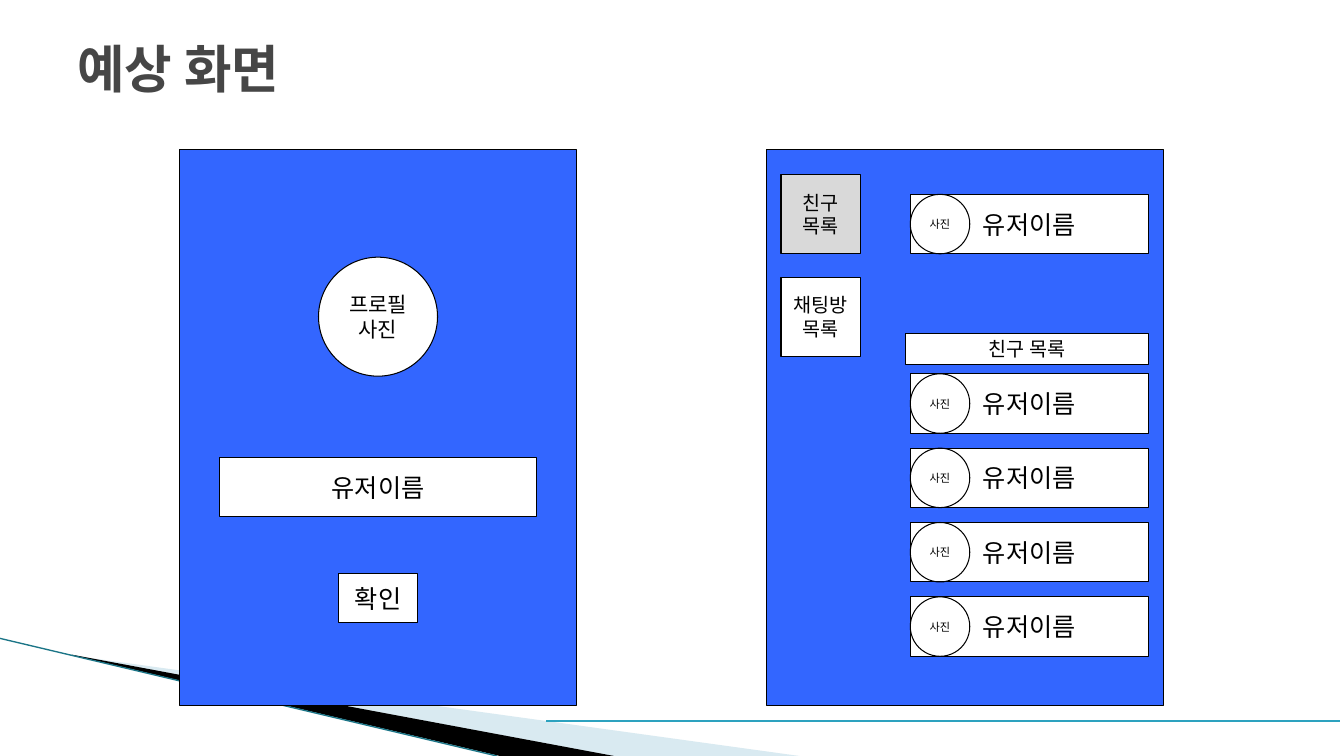
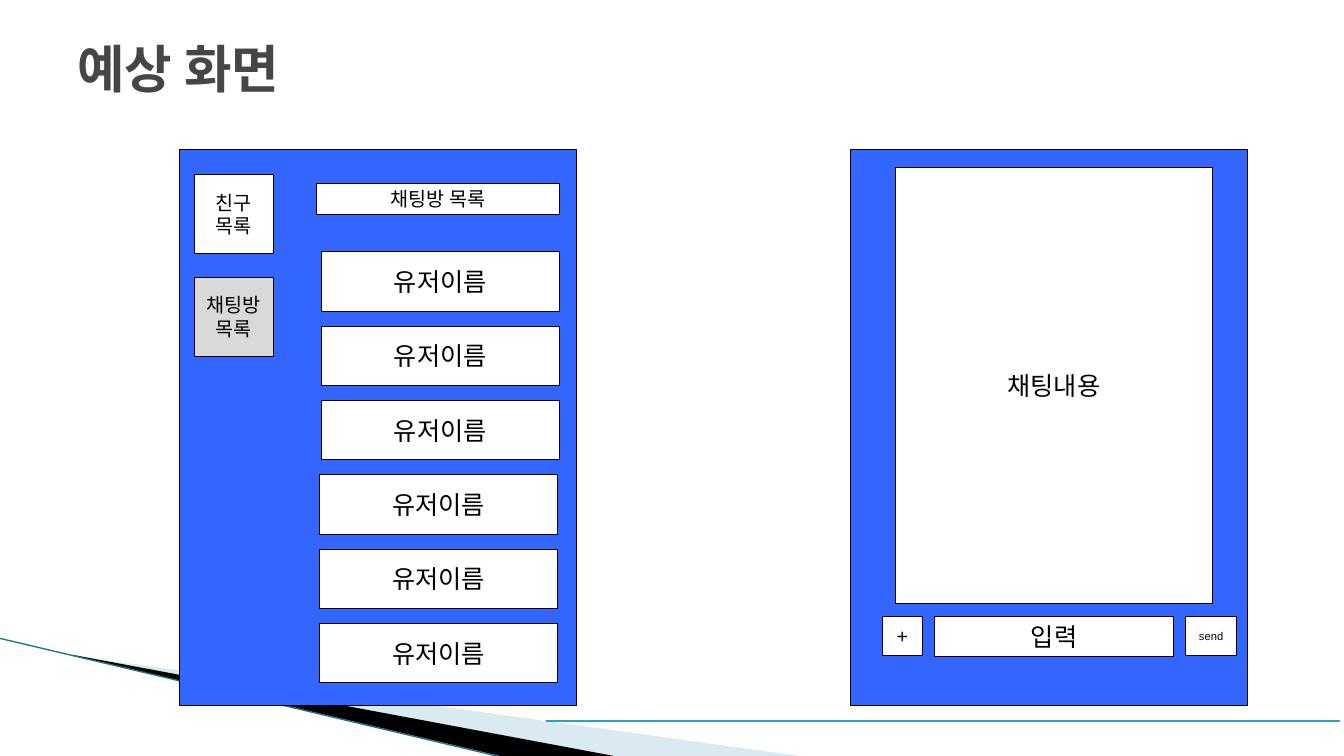
from dataclasses import dataclass

from lxml import etree
from pptx import Presentation
from pptx.dml.color import RGBColor
from pptx.enum.shapes import MSO_CONNECTOR, MSO_SHAPE
from pptx.enum.text import MSO_ANCHOR, PP_ALIGN
from pptx.oxml.ns import qn
from pptx.slide import Slide, SlideLayout
from pptx.util import Pt

RECTANGLE = MSO_SHAPE.RECTANGLE
ELLIPSE = MSO_SHAPE.OVAL
STRAIGHT = MSO_CONNECTOR.STRAIGHT
CENTER = PP_ALIGN.CENTER
LEFT = PP_ALIGN.LEFT
MIDDLE = MSO_ANCHOR.MIDDLE


@dataclass(frozen=True)
class Theme:
    font: str = "Arial"
    title: str = "464646"
    ink: str = "000000"
    paper: str = "FFFFFF"
    panel: str = "3366FF"
    selected: str = "D9D9D9"
    pale_band: str = "A0CBDC"
    slope_line: str = "1B7587"
    footer_line: str = "2DA2BF"
    title_size: float = 36.9
    name_size: float = 18
    profile_size: float = 15
    label_size: float = 14
    small_size: float = 8
    outline: float = 0.75


@dataclass(frozen=True)
class Box:
    left: float
    top: float
    width: float
    height: float

    def lengths(self) -> tuple[Pt, Pt, Pt, Pt]:
        return Pt(self.left), Pt(self.top), Pt(self.width), Pt(self.height)


@dataclass(frozen=True)
class Band:
    points: tuple[tuple[float, float], ...]
    color: str
    opacity: int


@dataclass(frozen=True)
class Rule:
    start: tuple[float, float]
    end: tuple[float, float]
    color: str
    width: float


THEME = Theme()
TITLE_BOX = Box(48, 21.6, 864, 53.3)
BANDS = (
    Band(((52.6, 468.4), (571, 540), (437.8, 540), (52.6, 468)), THEME.pale_band, 40),
    Band(((51.1, 467.6), (438.5, 540), (357, 540), (51.8, 468)), THEME.ink, 100),
)
RULES = (
    Rule((0, 456), (355, 540), THEME.slope_line, 0.95),
    Rule((390.2, 514.8), (957, 514.8), THEME.footer_line, 1.5),
)
PANEL_TOP, PANEL_WIDTH, PANEL_HEIGHT = 107, 283.5, 396.8
FIRST_PANEL_LEFT = 128.2
TAB_INSET, TAB_TOP, TAB_SIZE, TAB_PITCH = 10.6, 124.6, 56.7, 73.4
TABS = ("친구\n목록", "채팅방목록")
ROW_WIDTH, ROW_HEIGHT, ROW_PITCH = 170.1, 42.5, 53.1
HEADER_WIDTH, HEADER_HEIGHT = 173.5, 22.3
USER_NAME = "유저이름"


def color(value: str) -> RGBColor:
    return RGBColor.from_string(value)


def write_text(frame, text: str, *, size: float, ink: str = THEME.ink,
               bold: bool = False, align=CENTER) -> None:
    frame.vertical_anchor = MIDDLE
    frame.text = text
    for para in frame.paragraphs:
        para.alignment = align
        para.font.name = THEME.font
        para.font.size = Pt(size)
        para.font.bold = bold
        para.font.color.rgb = color(ink)


def add_block(shapes, box: Box, text: str = "", *, kind=RECTANGLE,
              size: float = THEME.name_size, fill: str | None = THEME.paper) -> None:
    block = shapes.add_shape(kind, *box.lengths())
    block.shadow.inherit = False
    if fill is None:
        block.fill.background()
    else:
        block.fill.solid()
        block.fill.fore_color.rgb = color(fill)
    block.line.color.rgb = color(THEME.ink)
    block.line.width = Pt(THEME.outline)
    if text:
        block.text_frame.word_wrap = kind == RECTANGLE
        write_text(block.text_frame, text, size=size)


def add_band(page: Slide, band: Band):
    corners = [(Pt(x), Pt(y)) for x, y in band.points]
    builder = page.shapes.build_freeform(*corners[0], scale=1.0)
    builder.add_line_segments(corners[1:], close=True)
    shape = builder.convert_to_shape()
    shape.shadow.inherit = False
    shape.line.fill.background()
    shape.fill.solid()
    shape.fill.fore_color.rgb = color(band.color)
    if band.opacity < 100:
        tint = shape.element.spPr.find(qn("a:solidFill"))[0]
        etree.SubElement(tint, qn("a:alpha"), val=str(band.opacity * 1000))
    return shape


def add_rule(page: Slide, rule: Rule):
    ends = (Pt(value) for value in rule.start + rule.end)
    connector = page.shapes.add_connector(STRAIGHT, *ends)
    connector.line.color.rgb = color(rule.color)
    connector.line.width = Pt(rule.width)
    etree.SubElement(connector.element.spPr, qn("a:effectLst"))
    return connector


def decorate_layout(layout: SlideLayout, page: Slide) -> None:
    """Draw the shared decoration on a page and move it to the layout."""
    decoration = [add_band(page, band) for band in BANDS]
    decoration += [add_rule(page, rule) for rule in RULES]
    for shape in decoration:
        layout.shapes.element.append(shape.element)


def add_title(page: Slide, text: str) -> None:
    title = page.shapes.title
    title.left, title.top, title.width, title.height = TITLE_BOX.lengths()
    write_text(title.text_frame, text, size=THEME.title_size,
               ink=THEME.title, bold=True, align=LEFT)


def add_panel(page: Slide, left: float) -> None:
    add_block(page.shapes, Box(left, PANEL_TOP, PANEL_WIDTH, PANEL_HEIGHT),
              fill=THEME.panel)


def add_tabs(page: Slide, panel_left: float, selected: int) -> None:
    for index, label in enumerate(TABS):
        top = TAB_TOP + index * TAB_PITCH
        add_block(page.shapes, Box(panel_left + TAB_INSET, top, TAB_SIZE, TAB_SIZE),
                  label, size=THEME.label_size,
                  fill=THEME.selected if index == selected else THEME.paper)


def add_header(page: Slide, left: float, top: float, text: str) -> None:
    add_block(page.shapes, Box(left, top, HEADER_WIDTH, HEADER_HEIGHT), text,
              size=THEME.label_size)


def add_friend(page: Slide, left: float, top: float) -> None:
    shapes = page.shapes.add_group_shape().shapes
    add_block(shapes, Box(left, top, ROW_WIDTH, ROW_HEIGHT), USER_NAME)
    add_block(shapes, Box(left, top, ROW_HEIGHT, ROW_HEIGHT), "사진",
              kind=ELLIPSE, size=THEME.small_size, fill=None)


def draw_profile_screen(page: Slide) -> None:
    add_panel(page, FIRST_PANEL_LEFT)
    add_block(page.shapes, Box(227.5, 183.7, 85, 85), "프로필\n사진",
              kind=ELLIPSE, size=THEME.profile_size)
    add_block(page.shapes, Box(156.7, 326.8, 226.8, 42.5), USER_NAME)
    add_block(page.shapes, Box(241.7, 409.6, 56.7, 35.2), "확인")


def draw_friend_screen(page: Slide) -> None:
    panel_left, row_left = 547.3, 650.2
    add_panel(page, panel_left)
    add_tabs(page, panel_left, selected=0)
    add_friend(page, row_left, 138.8)
    add_header(page, 646.8, 238.2, "친구 목록")
    for index in range(4):
        add_friend(page, row_left, 267 + index * ROW_PITCH)


def draw_room_screen(page: Slide) -> None:
    add_panel(page, FIRST_PANEL_LEFT)
    add_tabs(page, FIRST_PANEL_LEFT, selected=1)
    add_header(page, 226.2, 131, "채팅방 목록")
    for index in range(6):
        left = 229.5 if index < 3 else 228.1
        top = 179.8 + index * ROW_PITCH
        add_block(page.shapes, Box(left, top, ROW_WIDTH, ROW_HEIGHT), USER_NAME)


def draw_chat_screen(page: Slide) -> None:
    add_panel(page, 607.4)
    add_block(page.shapes, Box(639.4, 119.6, 226.8, 311.8), "채팅내용")
    add_block(page.shapes, Box(667.8, 440.4, ROW_WIDTH, 28.4), "입력")
    add_block(page.shapes, Box(630.4, 440.2, 28.4, 28.4), "+", size=THEME.label_size)
    add_block(page.shapes, Box(846.7, 440.2, 36.9, 28.4), "send", size=THEME.small_size)


def main() -> None:
    deck = Presentation()
    deck.slide_width, deck.slide_height = Pt(960), Pt(540)
    layout = deck.slide_layouts.get_by_name("Title Only")
    screen_pairs = (
        (draw_profile_screen, draw_friend_screen),
        (draw_room_screen, draw_chat_screen),
    )
    pages = [deck.slides.add_slide(layout) for _ in screen_pairs]
    decorate_layout(layout, pages[0])
    for page, screens in zip(pages, screen_pairs):
        add_title(page, "예상 화면")
        for draw_screen in screens:
            draw_screen(page)
    deck.save("out.pptx")


if __name__ == "__main__":
    main()
